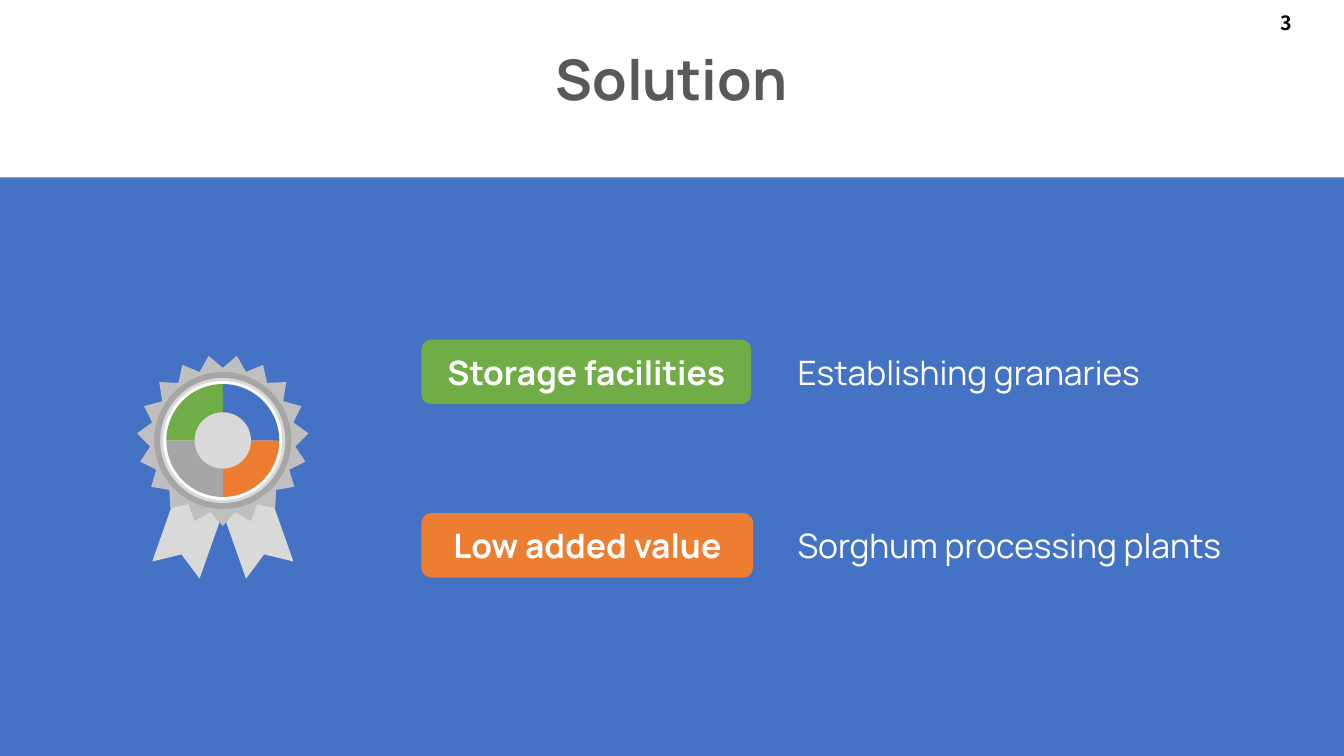
"""Build the Solution slide: a medal beside two labelled answers."""
import math

import pptx
import pptx.dml.color
import pptx.enum.shapes
import pptx.enum.text
import pptx.util

PX = 9144
THEME = {
    "font": "Manrope", "num_font": "Noto Sans CJK SC",
    "title": 40, "body": 24, "num": 14,
    "white": "FFFFFF", "black": "000000", "ink": "595959",
    "blue": "4472C4", "green": "70AD47", "orange": "ED7D31",
    "pale": "D9D9D9", "soft": "BFBFBF", "mid": "A6A6A6", "gray": "A5A5A5",
}
KIND = pptx.enum.shapes.MSO_SHAPE
ALIGN = pptx.enum.text.PP_ALIGN
MIDDLE = pptx.enum.text.MSO_ANCHOR.MIDDLE


def paint(shape, color):
    """Give a shape a flat fill without line or shadow."""
    shape.shadow.inherit = False
    shape.fill.solid()
    shape.fill.fore_color.rgb = pptx.dml.color.RGBColor.from_string(THEME[color])
    shape.line.fill.background()
    return shape


def write(shape, text, size, color, bold, align, font="font"):
    """Write one run of text into a shape."""
    frame = shape.text_frame
    frame.word_wrap = True
    frame.vertical_anchor = MIDDLE
    line = frame.paragraphs[0]
    line.alignment = align
    run = line.add_run()
    run.text = text
    run.font.name = THEME[font]
    run.font.size = pptx.util.Pt(THEME[size])
    run.font.bold = bold
    run.font.color.rgb = pptx.dml.color.RGBColor.from_string(THEME[color])
    return frame


deck = pptx.Presentation()
deck.slide_width, deck.slide_height = 1333 * PX, 750 * PX
slide = deck.slides.add_slide(deck.slide_layouts[5])
shapes = slide.shapes

title = shapes.title
title.left, title.top, title.width, title.height = 166 * PX, 47 * PX, 1000 * PX, 69 * PX
frame = write(title, "Solution", "title", "ink", True, ALIGN.CENTER)
frame.auto_size = pptx.enum.text.MSO_AUTO_SIZE.NONE
frame.paragraphs[0].line_spacing = 0.9

paint(shapes.add_shape(KIND.RECTANGLE, 0, 176 * PX, 1333 * PX, 574 * PX), "blue")

rows = [
    ("Storage facilities", "Establishing granaries", "green", 337, 327),
    ("Low added value", "Sorghum processing plants", "orange", 509, 329),
]
for label, answer, color, top, width in rows:
    badge = shapes.add_shape(KIND.ROUNDED_RECTANGLE, 418 * PX, top * PX, width * PX, 64 * PX)
    badge.adjustments[0] = 0.15
    write(paint(badge, color), label, "body", "white", True, ALIGN.CENTER)
    box = shapes.add_textbox(791 * PX, (top + 12) * PX, 455 * PX, 40 * PX)
    frame = write(box, answer, "body", "white", False, ALIGN.LEFT)
    frame.margin_left = frame.margin_right = frame.margin_top = frame.margin_bottom = 0

MID_X, MID_Y = 221, 437
TEETH = 19
tail = [(-70, 557), (-39, 469), (8, 486), (-23, 574), (-41, 550)]
left = [(MID_X + x, y) for x, y in tail]
right = [(MID_X - x, y) for x, y in tail]
star = []
for step in range(2 * TEETH):
    reach = 72 if step % 2 else 85
    turn = math.pi / 2 + step * math.pi / TEETH
    star.append((round(MID_X + reach * math.cos(turn)), round(MID_Y + reach * math.sin(turn))))
for points, color in [(left, "pale"), (right, "pale"), (star, "soft")]:
    build = shapes.build_freeform(*points[0], scale=PX)
    build.add_line_segments(points[1:], close=True)
    paint(build.convert_to_shape(), color)

discs = [(KIND.OVAL, 68, "mid"), (KIND.OVAL, 62, "pale"), (KIND.OVAL, 59, "white")]
discs += [(KIND.PIE, 56, color) for color in ("orange", "gray", "green", "blue")]
discs += [(KIND.OVAL, 28, "pale")]
angle = 0
for kind, reach, color in discs:
    side = 2 * reach * PX
    disc = paint(shapes.add_shape(kind, (MID_X - reach) * PX, (MID_Y - reach) * PX, side, side), color)
    if kind == KIND.PIE:
        disc.adjustments[0] = angle * 0.6
        disc.adjustments[1] = (angle + 90) % 360 * 0.6
        angle += 90

number = shapes.add_textbox(1260 * PX, 6 * PX, 72 * PX, 34 * PX)
write(number, "3", "num", "black", True, ALIGN.LEFT, "num_font")

deck.save("out.pptx")
